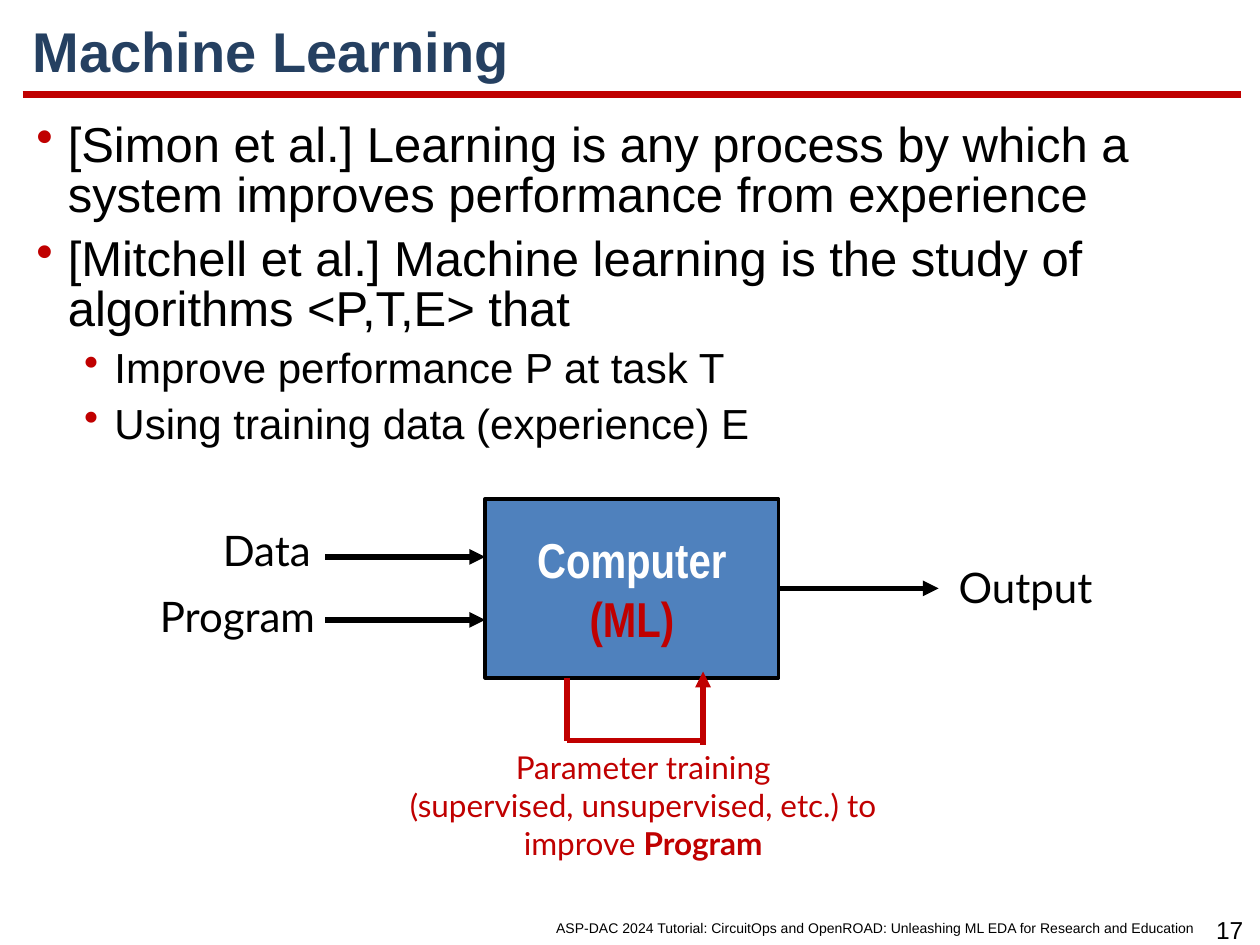
from dataclasses import dataclass

from lxml import etree
from pptx import Presentation
from pptx.dml.color import RGBColor
from pptx.enum.shapes import MSO_CONNECTOR, MSO_SHAPE
from pptx.enum.text import MSO_ANCHOR, MSO_AUTO_SIZE, PP_ALIGN
from pptx.oxml.ns import qn
from pptx.util import Inches, Pt

STRAIGHT = MSO_CONNECTOR.STRAIGHT
RECTANGLE = MSO_SHAPE.RECTANGLE
MIDDLE = MSO_ANCHOR.MIDDLE
NO_AUTOFIT = MSO_AUTO_SIZE.NONE
LEFT, CENTER = PP_ALIGN.LEFT, PP_ALIGN.CENTER

BLACK = RGBColor(0x00, 0x00, 0x00)
WHITE = RGBColor(0xFF, 0xFF, 0xFF)
RED = RGBColor(0xC0, 0x00, 0x00)
NAVY = RGBColor(0x25, 0x40, 0x61)
BLUE = RGBColor(0x4F, 0x81, 0xBD)

CELL = Inches(0.1)
COLUMNS, ROWS = 100, 75
TITLE_ONLY = 5

BULLETS = [
    (0, "[Simon et al.] Learning is any process by which a system improves "
        "performance from experience"),
    (0, "[Mitchell et al.] Machine learning is the study of algorithms <P,T,E> that"),
    (1, "Improve performance P at task T"),
    (1, "Using training data (experience) E"),
]
BULLET_STYLES = [(28, 0.25, -0.25, 8.4), (24, 0.62, -0.24, 7.2)]


@dataclass
class Box:
    """A rectangle measured in grid columns and rows."""
    left: float
    top: float
    width: float
    height: float

    def inner(self, column, row, width, height):
        """Return a box placed relative to this one."""
        return Box(self.left + column, self.top + row, width, height)

    def point(self, column, row):
        """Return a point placed relative to this box."""
        return self.left + column, self.top + row

    def lengths(self):
        """Return left, top, width and height as slide lengths."""
        return [cells(n) for n in (self.left, self.top, self.width, self.height)]


def cells(count):
    """Turn a number of grid cells into a slide length."""
    return round(count * CELL)


def set_font(font, name, size, color, bold=False):
    """Set the face, size, colour and weight of a font."""
    font.name, font.size, font.bold = name, Pt(size), bold
    font.color.rgb = color


def add_text(slide, box, lines, name, size, color, align=LEFT):
    """Add a wrapping text box with one paragraph for each line."""
    frame = slide.shapes.add_textbox(*box.lengths()).text_frame
    frame.word_wrap = True
    frame.text = "\n".join(lines)
    for paragraph in frame.paragraphs:
        paragraph.alignment = align
        set_font(paragraph.font, name, size, color)
    return frame


def add_line(slide, start, end, color, width, arrow=False):
    """Add a straight line, with an arrowhead at its end if asked."""
    ends = [cells(n) for n in (*start, *end)]
    line = slide.shapes.add_connector(STRAIGHT, *ends)
    line.line.color.rgb = color
    line.line.width = Pt(width)
    if arrow:
        etree.SubElement(line.line._get_or_add_ln(), qn("a:tailEnd"), type="triangle")
    etree.SubElement(line._element.spPr, qn("a:effectLst"))
    return line


def add_bullet(paragraph, margin, indent):
    """Give a paragraph a red hanging bullet."""
    properties = paragraph._p.get_or_add_pPr()
    properties.set("marL", str(Inches(margin)))
    properties.set("indent", str(Inches(indent)))
    color = etree.SubElement(properties, qn("a:buClr"))
    etree.SubElement(color, qn("a:srgbClr"), val=str(RED))
    etree.SubElement(properties, qn("a:buChar"), char="•")


def build_header(slide, box):
    """Place the title with the red rule under it."""
    title = slide.shapes.title
    title.left, title.top, title.width, title.height = box.lengths()
    frame = title.text_frame
    frame.text = "Machine Learning"
    frame.auto_size = NO_AUTOFIT
    frame.vertical_anchor = MIDDLE
    paragraph = frame.paragraphs[0]
    paragraph.alignment = LEFT
    paragraph.line_spacing = 0.9
    set_font(paragraph.font, "Arial", 32, NAVY, True)
    add_line(slide, box.point(0.2, 6.4), box.point(96.9, 6.4), RED, 4.5)


def build_bullets(slide, box):
    """Place the two levels of bulleted definitions."""
    frame = add_text(slide, box, [text for _, text in BULLETS], "Arial", 28, BLACK)
    for index, (paragraph, (level, _)) in enumerate(zip(frame.paragraphs, BULLETS)):
        size, margin, indent, gap = BULLET_STYLES[level]
        paragraph.level = level
        paragraph.line_spacing = 0.85
        paragraph.space_before = Pt(gap if index else 0)
        paragraph._p.get_or_add_pPr()
        for font_default in paragraph._p.pPr.findall(qn("a:defRPr")):
            paragraph._p.pPr.remove(font_default)
        add_bullet(paragraph, margin, indent)
        set_font(paragraph.font, "Arial", size, BLACK)


def build_diagram(slide, box):
    """Place the computer with its inputs and output."""
    computer = slide.shapes.add_shape(RECTANGLE, *box.inner(26.8, 0, 23.3, 14.2).lengths())
    computer.shadow.inherit = False
    computer.fill.solid()
    computer.fill.fore_color.rgb = BLUE
    computer.line.color.rgb = BLACK
    computer.line.width = Pt(2)
    frame = computer.text_frame
    frame.vertical_anchor = MIDDLE
    frame.text = "Computer\n(ML)"
    for paragraph, color in zip(frame.paragraphs, (WHITE, RED)):
        paragraph.alignment = CENTER
        set_font(paragraph.font, "Arial Narrow", 28, color, True)

    for row in (4.6, 9.6):
        add_line(slide, box.point(14.1, row), box.point(26.8, row), BLACK, 3, True)
    output = add_line(slide, box.point(50.1, 7.1), box.point(62.8, 7.1), BLACK, 3, True)
    output.begin_connect(computer, 3)

    labels = [("Data", 5, 1.5, 13.3), ("Program", 0, 6.8, 18.3), ("Output", 63.4, 4.5, 18.3)]
    for text, column, row, width in labels:
        add_text(slide, box.inner(column, row, width, 5), [text], "Lato", 24, BLACK)


def build_training_loop(slide, box):
    """Place the feedback loop and its caption."""
    add_line(slide, box.point(25.8, 5.8), box.point(25.8, 0), RED, 3, True)
    add_line(slide, box.point(15, 0.5), box.point(15, 5.5), RED, 3)
    add_line(slide, box.point(26, 5.5), box.point(15, 5.5), RED, 3)
    lines = ["Parameter training", "(supervised, unsupervised, etc.) to improve "]
    caption = add_text(slide, box.inner(0, 5.6, 42.1, 10.1), lines, "Lato", 18, RED, CENTER)
    program = caption.paragraphs[1].add_run()
    program.text = "Program"
    program.font.bold = True


def build_footer(slide, box):
    """Place the event line and the page number."""
    event = ("ASP-DAC 2024 Tutorial: CircuitOps and OpenROAD: "
             "Unleashing ML EDA for Research and Education")
    add_text(slide, box.inner(0, 0.4, 54, 2.4), [event], "Arial", 8, BLACK, CENTER)
    add_text(slide, box.inner(52.9, 0, 4.4, 3.4), ["17"], "Arial", 14, BLACK, CENTER)


def main():
    """Build the slide and save it."""
    presentation = Presentation()
    presentation.slide_width = cells(COLUMNS)
    presentation.slide_height = cells(ROWS)
    slide = presentation.slides.add_slide(presentation.slide_layouts[TITLE_ONLY])
    build_header(slide, Box(1.6, 1.1, 96.8, 6.5))
    build_bullets(slide, Box(1.9, 9.2, 96.6, 60.8))
    build_diagram(slide, Box(11.7, 39.6, 81.7, 14.2))
    build_training_loop(slide, Box(30, 53.3, 42.1, 15.7))
    build_footer(slide, Box(42.5, 72.1, 57.3, 3.4))
    presentation.save("out.pptx")


if __name__ == "__main__":
    main()
